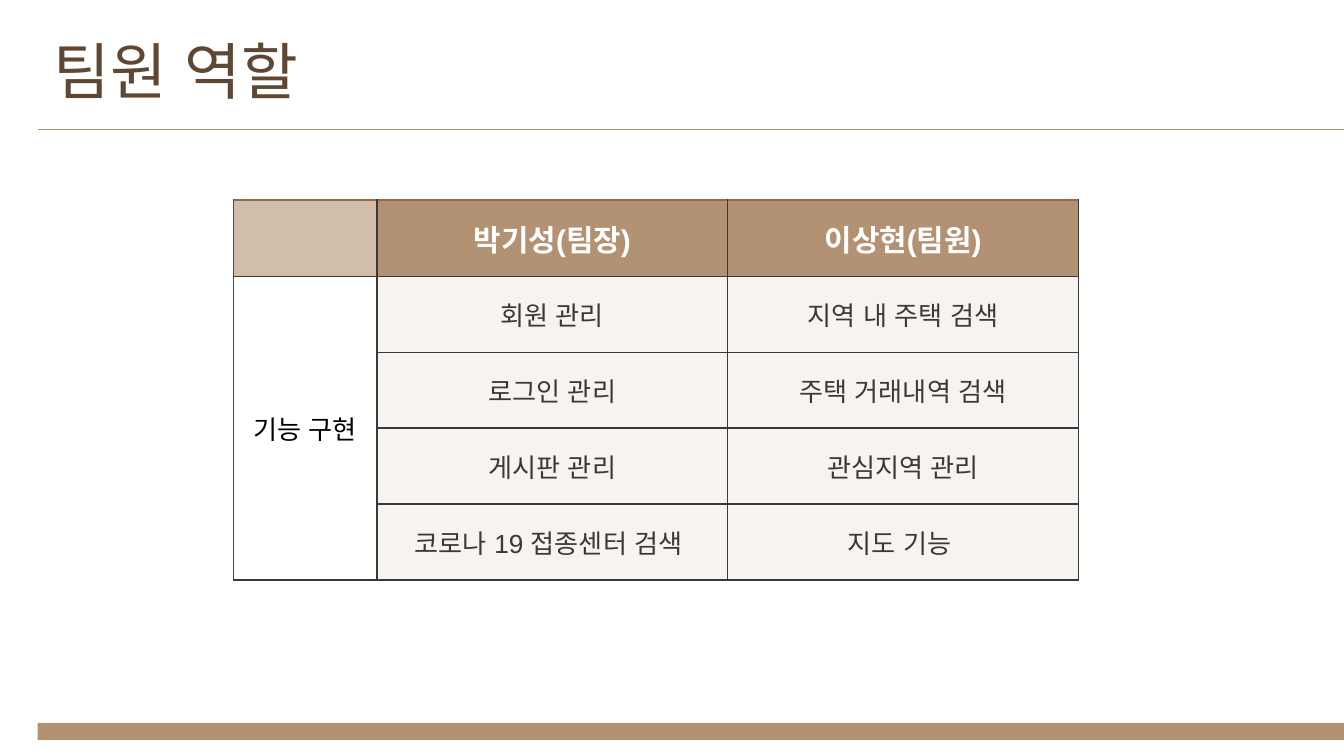
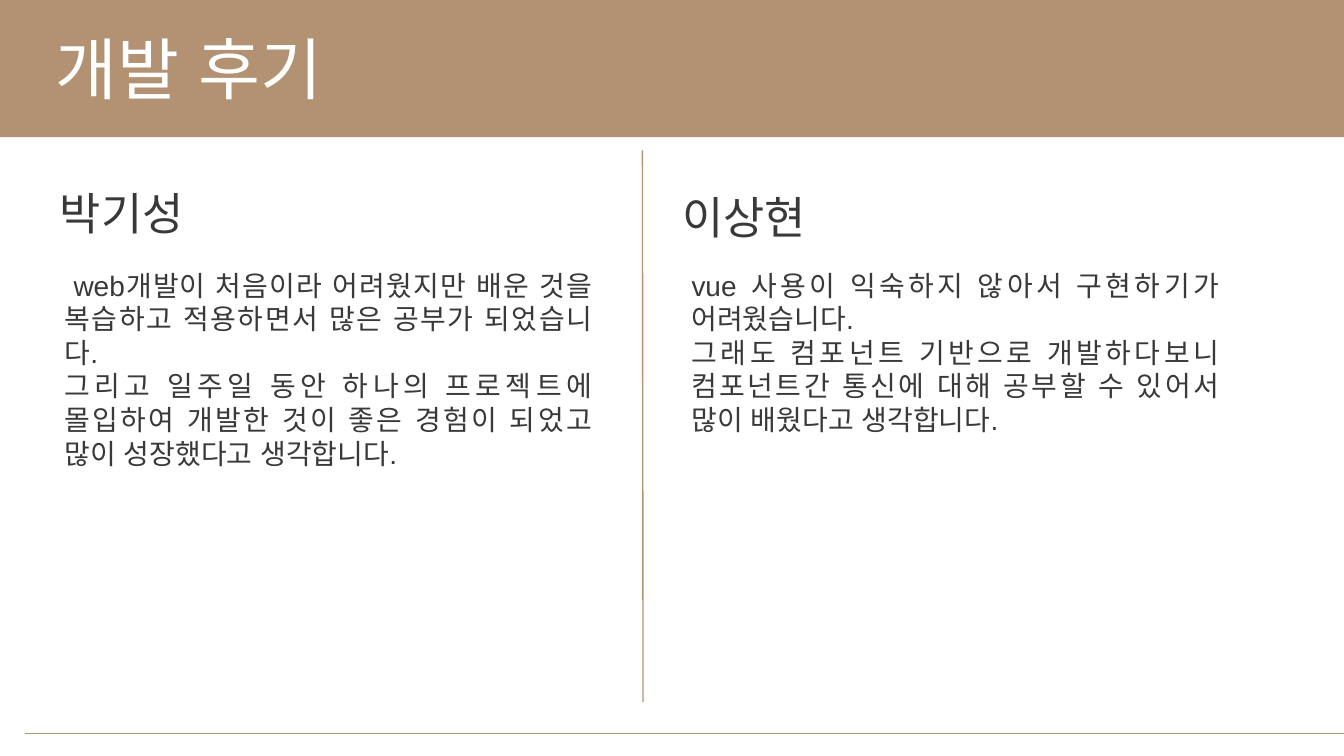
from dataclasses import dataclass

from lxml.etree import SubElement
from pptx import Presentation
from pptx.dml.color import RGBColor
from pptx.enum.lang import MSO_LANGUAGE_ID
from pptx.enum.shapes import MSO_CONNECTOR, MSO_SHAPE
from pptx.enum.text import MSO_ANCHOR, MSO_AUTO_SIZE, PP_ALIGN
from pptx.oxml import parse_xml
from pptx.oxml.ns import nsdecls, qn
from pptx.presentation import Presentation as Deck
from pptx.slide import Slide
from pptx.table import _Cell as Cell
from pptx.text.text import TextFrame
from pptx.util import Emu, Pt

PX = 4572  # 200 px to the inch
SLIDE_WIDTH, SLIDE_HEIGHT = 2000, 1125
TITLE_ONLY = 5


def px(length: int) -> Emu:
    return Emu(length * PX)


@dataclass(frozen=True)
class Theme:
    font: str = "Arial"
    tan: str = "B39273"
    light_tan: str = "D1BDAA"
    cream: str = "F7F3EF"
    white: str = "FFFFFF"
    black: str = "000000"
    ink: str = "3A3838"
    brown: str = "5F4833"
    header_edge: str = "8E6D4D"
    roles_title: int = 33
    review_title: int = 36
    name: int = 24
    table_head: int = 16
    table_body: int = 14
    review: int = 15
    thin: float = 0.75
    thick: float = 1.5


THEME = Theme()


@dataclass(frozen=True)
class Box:
    left: int
    top: int
    width: int
    height: int

    def emu(self) -> tuple[Emu, Emu, Emu, Emu]:
        return px(self.left), px(self.top), px(self.width), px(self.height)


@dataclass(frozen=True)
class TextStyle:
    size: int
    color: str
    bold: bool = False
    align: PP_ALIGN = PP_ALIGN.LEFT


@dataclass(frozen=True)
class Edge:
    color: str = THEME.ink
    width: float = THEME.thin


@dataclass(frozen=True)
class Review:
    name: str
    name_box: Box
    paragraphs: tuple[str, ...]
    text_box: Box


ROLES = (
    ("", "박기성(팀장)", "이상현(팀원)"),
    ("기능 구현", "회원 관리", "지역 내 주택 검색"),
    ("", "로그인 관리", "주택 거래내역 검색"),
    ("", "게시판 관리", "관심지역 관리"),
    ("", "코로나 19 접종센터 검색 ", "지도 기능 "),
)
ROLE_COLUMNS = (214, 522, 522)
ROLE_ROW = 113

REVIEWS = (
    Review(
        "박기성", Box(74, 269, 730, 96),
        (" web개발이 처음이라 어려웠지만 배운 것을 복습하고 적용하면서 많은 공부가 되었습니다. ",
         "그리고 일주일 동안 하나의 프로젝트에 몰입하여 개발한 것이 좋은 경험이 되었고 많이 성장했다고 생각합니다."),
        Box(81, 392, 816, 318),
    ),
    Review(
        "이상현", Box(1000, 276, 730, 96),
        ("vue 사용이 익숙하지 않아서 구현하기가 어려웠습니다. ",
         "그래도 컴포넌트 기반으로 개발하다보니 컴포넌트간 통신에 대해 공부할 수 있어서 많이 배웠다고 생각합니다."),
        Box(1014, 392, 816, 318),
    ),
)


# Shared drawing
def style_text(frame: TextFrame, style: TextStyle) -> None:
    for paragraph in frame.paragraphs:
        paragraph.alignment = style.align
        for run in paragraph.runs:
            font = run.font
            font.name = THEME.font
            font.size = Pt(style.size)
            font.bold = style.bold
            font.color.rgb = RGBColor.from_string(style.color)
            font.language_id = MSO_LANGUAGE_ID.KOREAN


def fill_frame(frame: TextFrame, text: str, style: TextStyle) -> None:
    frame.text = text
    frame.word_wrap = True
    frame.auto_size = MSO_AUTO_SIZE.SHAPE_TO_FIT_TEXT
    frame.vertical_anchor = MSO_ANCHOR.TOP
    frame.margin_left = frame.margin_right = px(15)
    frame.margin_top = frame.margin_bottom = px(7)
    style_text(frame, style)


def add_text(slide: Slide, box: Box, text: str, style: TextStyle) -> None:
    fill_frame(slide.shapes.add_textbox(*box.emu()).text_frame, text, style)


def add_title(slide: Slide, box: Box, text: str, style: TextStyle) -> None:
    title = slide.shapes.title
    title.left, title.top, title.width, title.height = box.emu()
    fill_frame(title.text_frame, text, style)
    # Bring the title in front of the band
    slide.shapes._spTree.append(title._element)


def add_band(slide: Slide, box: Box) -> None:
    band = slide.shapes.add_shape(MSO_SHAPE.RECTANGLE, *box.emu())
    band.shadow.inherit = False
    band.fill.solid()
    band.fill.fore_color.rgb = RGBColor.from_string(THEME.tan)
    band.line.fill.background()


def add_rule(slide: Slide, x1: int, y1: int, x2: int, y2: int) -> None:
    rule = slide.shapes.add_connector(
        MSO_CONNECTOR.STRAIGHT, px(x1), px(y1), px(x2), px(y2))
    rule.line.color.rgb = RGBColor.from_string(THEME.tan)
    rule.line.width = Pt(THEME.thin)
    SubElement(rule._element.spPr, qn("a:effectLst"))


# Roles table
def set_edges(cell: Cell, edges: dict[str, Edge]) -> None:
    properties = cell._tc.get_or_add_tcPr()
    for position, (side, edge) in enumerate(edges.items()):
        properties.insert(position, parse_xml(
            f'<a:ln{side} {nsdecls("a")} w="{Pt(edge.width)}"><a:solidFill>'
            f'<a:srgbClr val="{edge.color}"/></a:solidFill></a:ln{side}>'))


def role_look(row: int, column: int) -> tuple[str, TextStyle]:
    center = PP_ALIGN.CENTER
    if row == 0:
        fill = THEME.tan if column else THEME.light_tan
        return fill, TextStyle(THEME.table_head, THEME.white, True, center)
    if column == 0:
        return THEME.white, TextStyle(THEME.table_body, THEME.black, align=center)
    return THEME.cream, TextStyle(THEME.table_body, THEME.ink, align=center)


def role_edges(row: int, column: int) -> dict[str, Edge]:
    merged = column == 0 and row > 0
    return {
        "L": Edge() if column else Edge(THEME.brown),
        "R": Edge(),
        "T": Edge() if row else Edge(THEME.header_edge, THEME.thick),
        "B": Edge(width=THEME.thick) if merged else Edge(),
    }


def add_roles(slide: Slide, left: int, top: int) -> None:
    box = Box(left, top, sum(ROLE_COLUMNS), ROLE_ROW * len(ROLES))
    roles = slide.shapes.add_table(
        len(ROLES), len(ROLE_COLUMNS), *box.emu()).table
    roles.horz_banding = False
    for column, width in enumerate(ROLE_COLUMNS):
        roles.columns[column].width = px(width)
    for row, texts in enumerate(ROLES):
        roles.rows[row].height = px(ROLE_ROW)
        for column, text in enumerate(texts):
            cell = roles.cell(row, column)
            fill, style = role_look(row, column)
            cell.text_frame.text = text
            style_text(cell.text_frame, style)
            cell.vertical_anchor = MSO_ANCHOR.MIDDLE
            cell.margin_left = cell.margin_right = px(15)
            cell.margin_top = cell.margin_bottom = px(8)
            cell.fill.solid()
            cell.fill.fore_color.rgb = RGBColor.from_string(fill)
            set_edges(cell, role_edges(row, column))
    roles.cell(1, 0).merge(roles.cell(len(ROLES) - 1, 0))


# Slides
def build_roles(deck: Deck) -> None:
    slide = deck.slides.add_slide(deck.slide_layouts[TITLE_ONLY])
    add_band(slide, Box(56, 1076, SLIDE_WIDTH - 56, 25))
    add_rule(slide, 56, 193, SLIDE_WIDTH, 193)
    add_roles(slide, 347, 298)
    add_title(slide, Box(65, 42, 1472, 126), "팀원 역할",
              TextStyle(THEME.roles_title, THEME.brown))


def build_reviews(deck: Deck) -> None:
    slide = deck.slides.add_slide(deck.slide_layouts[TITLE_ONLY])
    add_band(slide, Box(0, 0, SLIDE_WIDTH, 204))
    add_rule(slide, 37, 1092, SLIDE_WIDTH, 1092)
    add_title(slide, Box(68, 34, 736, 136), "개발 후기",
              TextStyle(THEME.review_title, THEME.white))
    add_rule(slide, 956, 224, 957, 1045)
    for review in REVIEWS:
        add_text(slide, review.name_box, review.name,
                 TextStyle(THEME.name, THEME.ink))
        add_text(slide, review.text_box, "\n".join(review.paragraphs),
                 TextStyle(THEME.review, THEME.ink, align=PP_ALIGN.JUSTIFY))


def main() -> None:
    deck = Presentation()
    deck.slide_width, deck.slide_height = px(SLIDE_WIDTH), px(SLIDE_HEIGHT)
    build_roles(deck)
    build_reviews(deck)
    deck.save("out.pptx")


if __name__ == "__main__":
    main()
